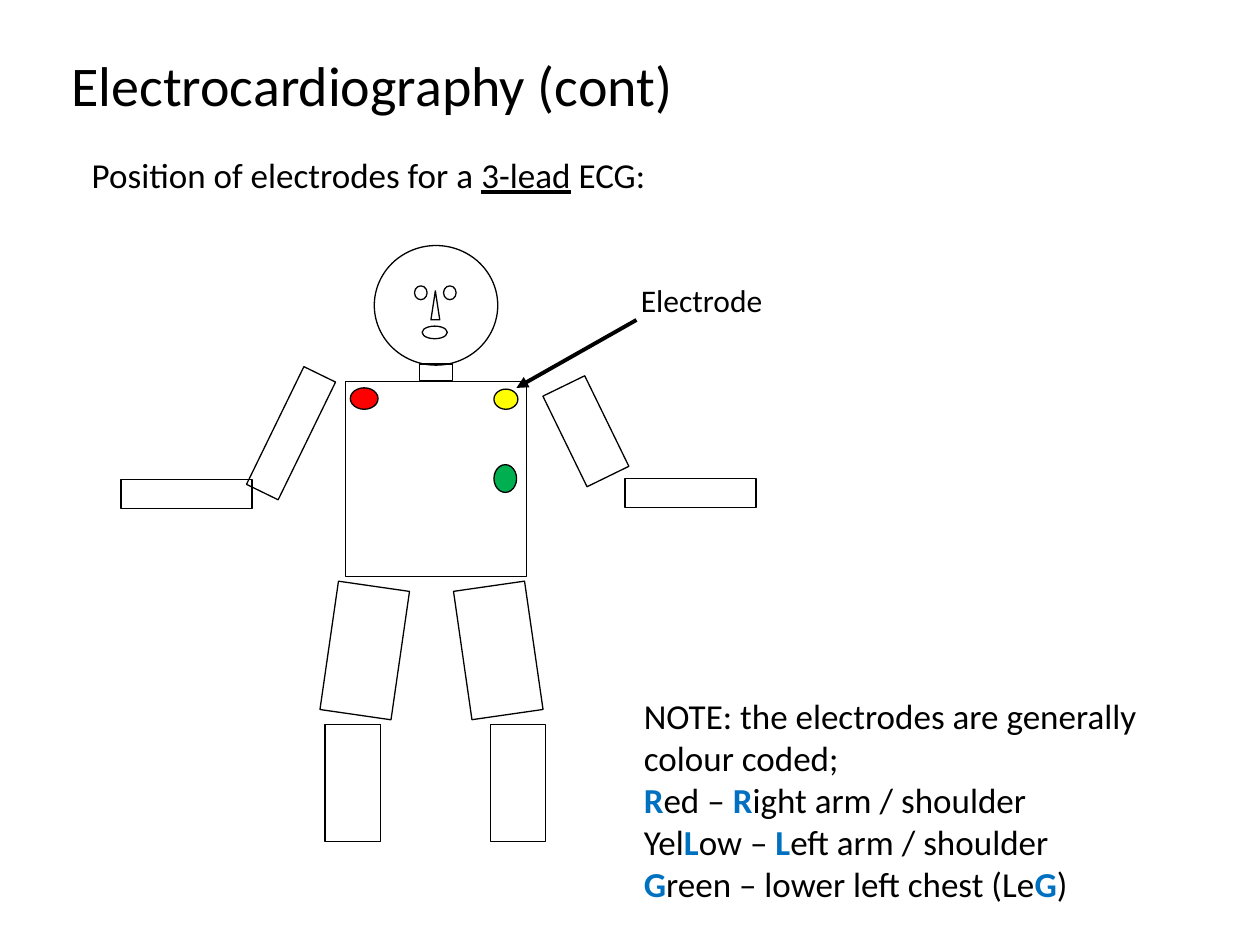
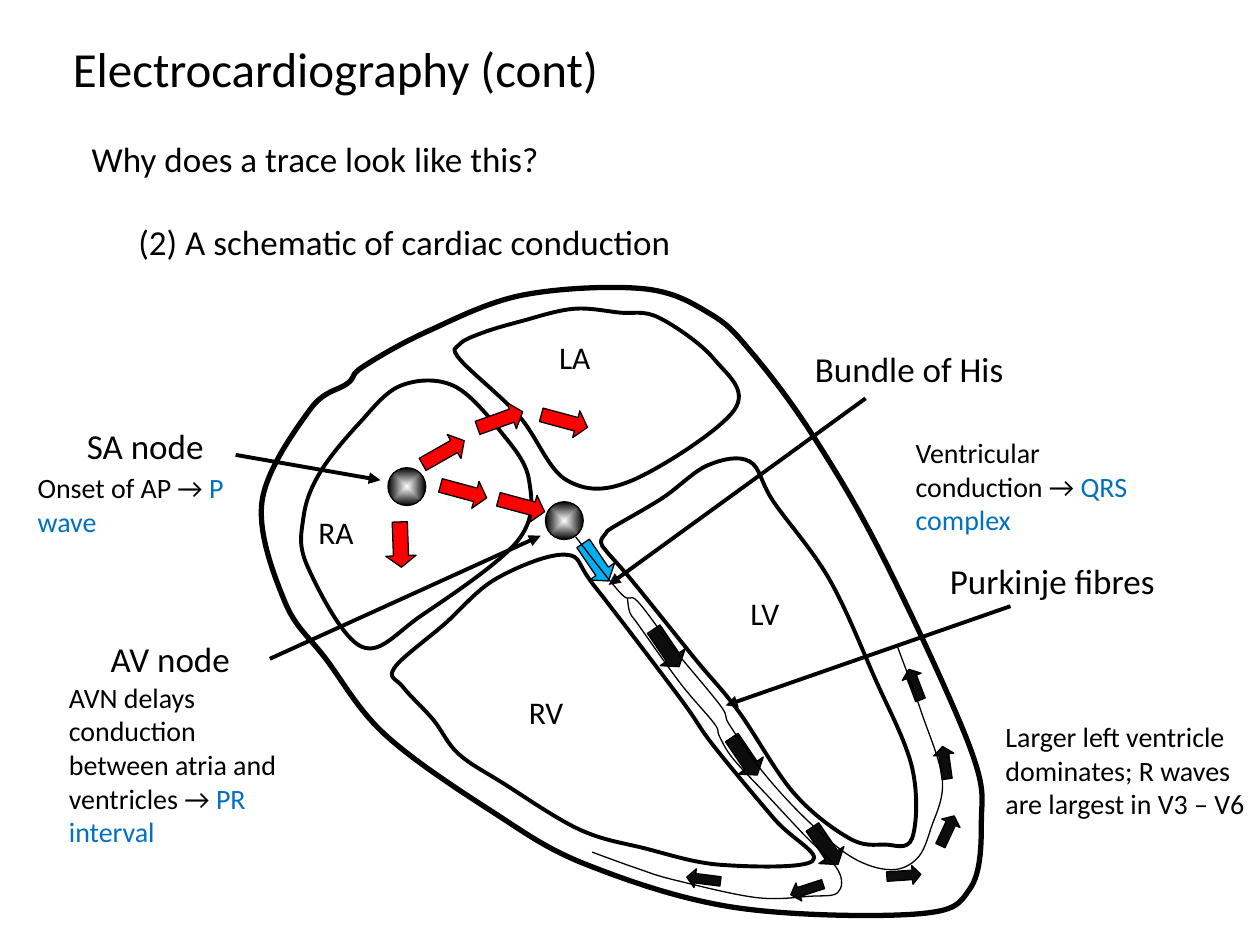
from lxml.etree import SubElement
from pptx import Presentation
from pptx.dml.color import RGBColor
from pptx.enum.shapes import MSO_CONNECTOR, MSO_SHAPE
from pptx.enum.text import MSO_AUTO_SIZE
from pptx.oxml.ns import qn
from pptx.util import Cm, Pt

BLACK = RGBColor(0x00, 0x00, 0x00)
WHITE = RGBColor(0xFF, 0xFF, 0xFF)
INK = RGBColor(0x0D, 0x0D, 0x0D)
RED = RGBColor(0xFF, 0x00, 0x00)
YELLOW = RGBColor(0xFF, 0xFF, 0x00)
GREEN = RGBColor(0x00, 0xB0, 0x50)
SKY = RGBColor(0x00, 0xB0, 0xF0)
BLUE = RGBColor(0x00, 0x70, 0xC0)

FONT = "Calibri"
TITLE = "Electrocardiography (cont)"
BLUE_TEXT = {"color": BLUE}
BLUE_BOLD = {"color": BLUE, "bold": True}
UNDERLINED = {"underline": True}

RECT, OVAL, TRIANGLE = MSO_SHAPE.RECTANGLE, MSO_SHAPE.OVAL, MSO_SHAPE.ISOSCELES_TRIANGLE


# ---- Shared helpers ----
def format_font(font, size, color=BLACK, **values):
    font.color.rgb = color
    for name, value in {"name": FONT, "size": Pt(size), **values}.items():
        setattr(font, name, value)


def add_text(s, box, text, size=20, wrap=False, marked=BLUE_TEXT, fill=None):
    """Text between asterisks takes the marked format; each line is a paragraph."""
    sp = s.shapes.add_textbox(*map(Cm, box))
    if fill is not None:
        sp.fill.solid()
        sp.fill.fore_color.rgb = fill
    tf = sp.text_frame
    tf.word_wrap = wrap
    tf.auto_size = MSO_AUTO_SIZE.SHAPE_TO_FIT_TEXT
    for i, line in enumerate(text.split("\n")):
        p = tf.add_paragraph() if i else tf.paragraphs[0]
        for j, part in enumerate(line.split("*")):
            if part:
                r = p.add_run()
                r.text = part
                format_font(r.font, size, **(marked if j % 2 else {}))


def style_shape(sp, fill=None, weight=0.75):
    sp.shadow.inherit = False
    if fill is None:
        sp.fill.background()
    else:
        sp.fill.solid()
        sp.fill.fore_color.rgb = fill
    sp.line.color.rgb = BLACK
    sp.line.width = Pt(weight)


def add_pointer(s, start, end):
    c = s.shapes.add_connector(MSO_CONNECTOR.STRAIGHT, *map(Cm, start + end))
    c.line.color.rgb = BLACK
    c.line.width = Pt(2.25)
    props = c._element.spPr
    SubElement(props.find(qn("a:ln")), qn("a:tailEnd"), type="triangle")
    SubElement(props, qn("a:effectLst"))


class Grid:
    """Maps whole drawing units to a box on the slide."""

    def __init__(self, box, columns, rows):
        self.left, self.top, width, height = map(Cm, box)
        self.dx, self.dy = width / columns, height / rows

    def point(self, x, y):
        return self.left + x * self.dx, self.top + y * self.dy

    def shape(self, shapes, kind, x, y, w, h, rotation=0, fill=None):
        size = w * self.dx, h * self.dy
        sp = shapes.add_shape(kind, *map(round, self.point(x, y) + size))
        sp.rotation = rotation
        style_shape(sp, fill)
        return sp

    def curve(self, shapes, knots, weight, closed=True):
        points = [self.point(*k) for k in knots]
        if closed:
            points.append(points[0])
        builder = shapes.build_freeform(*points[0], scale=1.0)
        builder.add_line_segments(points[1:], close=closed)
        sp = builder.convert_to_shape()
        round_corners(sp, closed)
        style_shape(sp, weight=weight)


def round_corners(sp, closed):
    """Turn straight segments into one smooth Catmull-Rom curve."""
    outline = next(sp._element.iter(qn("a:path")))
    knots = [(int(pt.get("x")), int(pt.get("y"))) for pt in outline.iter(qn("a:pt"))]
    before, after = (knots[-2], knots[1]) if closed else (knots[0], knots[-1])
    k = [before, *knots, after]
    segments = outline.findall(qn("a:lnTo"))
    for segment, a, b, c, d in zip(segments, k, k[1:], k[2:], k[3:]):
        leave = [q + (r - p) / 6 for p, q, r in zip(a, b, c)]
        arrive = [q - (r - p) / 6 for p, q, r in zip(b, c, d)]
        segment.clear()
        segment.tag = qn("a:cubicBezTo")
        for x, y in (leave, arrive, c):
            SubElement(segment, qn("a:pt"), x=str(round(x)), y=str(round(y)))


# ---- Slide 1: electrode positions ----
BODY = [
    (OVAL, 201, 0, 98, 95),            # head
    (RECT, 237, 94, 26, 13),           # neck
    (RECT, 178, 108, 144, 155),        # torso
    (RECT, 83, 135, 104, 28, 296),     # arms
    (RECT, 0, 186, 104, 23),
    (RECT, 329, 129, 80, 37, 64),
    (RECT, 400, 185, 104, 23),
    (RECT, 165, 270, 57, 103, 8.2),    # legs
    (RECT, 162, 380, 44, 93),
    (RECT, 271, 270, 57, 103, 351.8),
    (RECT, 293, 380, 44, 93),
]
ELECTRODES = [
    (182, 113, 22, 17, RED),
    (296, 114, 19, 16, YELLOW),
    (296, 174, 18, 22, GREEN),
]
FACE = [
    (OVAL, 233, 32, 10, 11),
    (OVAL, 256, 32, 10, 11),
    (OVAL, 239, 64, 20, 10),
    (TRIANGLE, 246, 36, 7, 23),
]


def draw_patient(s, box):
    grid = Grid(box, 504, 473)
    body = s.shapes.add_group_shape()
    for part in BODY:
        grid.shape(body.shapes, *part)
    for *place, color in ELECTRODES:
        grid.shape(s.shapes, OVAL, *place, fill=color)
    for part in FACE:
        grid.shape(s.shapes, *part)


def electrode_slide(prs):
    s = prs.slides.add_slide(prs.slide_layouts[6])
    add_text(s, (1.19, 0.89, 13.72, 1.6), TITLE, 32)
    add_text(s, (1.6, 2.97, 12.93, 1.09),
             "Position of electrodes for a *3-lead* ECG:", marked=UNDERLINED)
    draw_patient(s, (2.44, 4.95, 12.8, 12.01))
    add_text(s, (12.67, 5.54, 3.38, 1.02), "Electrode", 18, wrap=True)
    add_pointer(s, (12.83, 6.45), (10.41, 7.82))
    add_text(s, (12.73, 13.87, 12.07, 4.5),
             "NOTE: the electrodes are generally colour coded;\n"
             "*R*ed – *R*ight arm / shoulder\n"
             "Yel*L*ow – *L*eft arm / shoulder\n"
             "*G*reen – lower left chest (Le*G*)",
             wrap=True, marked=BLUE_BOLD)


# ---- Slide 2: cardiac conduction ----
RIGHT_ATRIUM = [
    (37, 183), (50, 148), (81, 109), (114, 79), (156, 79), (194, 116),
    (216, 154), (207, 202), (131, 261), (83, 286), (40, 222)]
LEFT_ATRIUM = [
    (161, 58), (208, 103), (246, 154), (298, 154), (379, 98), (363, 58),
    (319, 25), (288, 21), (251, 18), (209, 28), (179, 37), (161, 46)]
RIGHT_VENTRICLE = [
    (140, 344), (116, 318), (109, 303), (149, 268), (190, 232), (245, 213),
    (268, 238), (336, 327), (362, 364), (411, 423), (441, 456), (368, 459),
    (308, 446), (256, 431), (195, 394), (160, 371)]
LEFT_VENTRICLE = [
    (277, 196), (283, 191), (322, 168), (358, 142), (391, 139), (410, 171),
    (454, 232), (490, 310), (520, 382), (520, 438), (498, 443), (470, 438),
    (426, 402), (382, 337), (348, 296), (298, 234), (278, 211), (273, 203)]
HEART_WALL = [
    (72, 77), (84, 64), (135, 36), (211, 7), (307, 2), (360, 22), (393, 53),
    (441, 118), (497, 215), (566, 366), (575, 425), (566, 478), (524, 498),
    (380, 493), (262, 459), (187, 417), (102, 356), (55, 296), (22, 250),
    (4, 171), (42, 98)]
LEFT_BRANCH = [
    (253, 199), (289, 244), (302, 250), (331, 288), (368, 333), (375, 348),
    (402, 386), (436, 423), (472, 453), (503, 463), (524, 454), (535, 430),
    (544, 392), (527, 337), (508, 285)]
RIGHT_BRANCH = [
    (294, 247), (296, 259), (303, 269), (336, 315), (363, 347), (367, 357),
    (378, 375), (406, 405), (434, 435), (461, 463), (461, 481), (439, 484),
    (396, 485), (331, 471), (302, 462), (266, 449)]

# (width, height, head ratio, colour): [(x, y, rotation), ...]
IMPULSES = {
    (38, 22, 0.42, RED): [(129, 121, 330.4), (174, 95, 340.3), (225, 96, 15.1),
                          (145, 152, 15.1), (191, 163, 15.1)],
    (36, 24, 0.38, RED): [(96, 193, 87.9)],
    (36, 24, 0.38, SKY): [(251, 207, 55.8)],
    (36, 24, 0.38, INK): [(307, 275, 55.8), (433, 432, 55.8), (369, 361, 55.8)],
    (27, 15, 0.45, INK): [(423, 471, 162), (500, 460, 356.2), (341, 463, 187.2)],
    (26, 16, 0.4, INK): [(535, 424, 295), (509, 308, 249.2), (533, 370, 262)],
}
NODES = [(104, 144), (229, 171)]


def add_node(s, grid, x, y):
    sp = grid.shape(s.shapes, OVAL, x, y, 30, 30)
    sp.fill.gradient()
    for stop, color in zip(sp.fill.gradient_stops, (WHITE, BLACK)):
        stop.color.rgb = color
    # Shade outwards from the centre
    grad = sp._element.spPr.find(qn("a:gradFill"))
    grad.remove(grad.find(qn("a:lin")))
    shade = SubElement(grad, qn("a:path"), {"path": "shape"})
    SubElement(shade, qn("a:fillToRect"), {side: "50000" for side in "ltrb"})


def draw_heart(s, box):
    grid = Grid(box, 578, 501)
    for chamber in (RIGHT_ATRIUM, LEFT_ATRIUM, RIGHT_VENTRICLE, LEFT_VENTRICLE):
        grid.curve(s.shapes, chamber, 2.25)
    grid.curve(s.shapes, HEART_WALL, 3)
    for (w, h, head, color), places in IMPULSES.items():
        for x, y, rotation in places:
            sp = grid.shape(s.shapes, MSO_SHAPE.RIGHT_ARROW, x, y, w, h, rotation, color)
            sp.adjustments[1] = head
    for node in NODES:
        add_node(s, grid, *node)
    for branch in (LEFT_BRANCH, RIGHT_BRANCH):
        grid.curve(s.shapes, branch, 0.75, closed=False)


def label_heart(s):
    # Parts of the conduction system
    for left, top, width, name, fill in [
            (1.98, 12.73, 3.23, "AV node", None),
            (1.5, 8.43, 3.23, "SA node", None),
            (18.9, 11.15, 4.98, "Purkinje fibres", WHITE),
            (16.18, 6.88, 4.7, "Bundle of His", None)]:
        add_text(s, (left, top, width, 1.09), name, fill=fill)
    for start, end in [
            ((4.75, 9.17), (7.67, 9.68)),
            ((20.37, 12.22), (14.63, 14.22)),
            ((17.45, 8.03), (12.27, 11.79)),
            ((5.44, 13.28), (10.9, 10.8))]:
        add_pointer(s, start, end)

    # Effects on the trace
    for box, text, fill in [
            ((0.51, 9.37, 4.78, 1.63), "Onset of AP → *P wave*", None),
            ((1.14, 13.59, 4.78, 3.66),
             "AVN delays conduction between atria and ventricles → *PR interval*", None),
            ((20.02, 14.38, 5.38, 2.97),
             "Larger left ventricle dominates; R waves are largest in V3 – V6", WHITE),
            ((18.21, 8.66, 4.78, 2.29), "Ventricular conduction → *QRS complex*", None)]:
        add_text(s, box, text, 16, wrap=True, fill=fill)

    # Chambers
    for left, top, width, name in [
            (10.41, 13.84, 1.4, "RV"), (6.17, 10.21, 1.4, "RA"),
            (11.02, 6.68, 1.3, "LA"), (14.88, 11.86, 1.3, "LV")]:
        add_text(s, (left, top, width, 1.02), name, 18)


def conduction_slide(prs):
    s = prs.slides.add_slide(prs.slide_layouts[6])
    add_text(s, (1.22, 0.66, 12.12, 1.45), TITLE, 28)
    add_text(s, (1.6, 2.64, 10.41, 1.09), "Why does a trace look like this?")
    add_text(s, (2.54, 4.32, 12.27, 1.09), "(2) A schematic of cardiac conduction")
    draw_heart(s, (5.18, 5.77, 14.68, 12.73))
    label_heart(s)


def main():
    prs = Presentation()
    prs.slide_width, prs.slide_height = Cm(25.4), Cm(19.05)
    electrode_slide(prs)
    conduction_slide(prs)
    prs.save("out.pptx")


if __name__ == "__main__":
    main()
